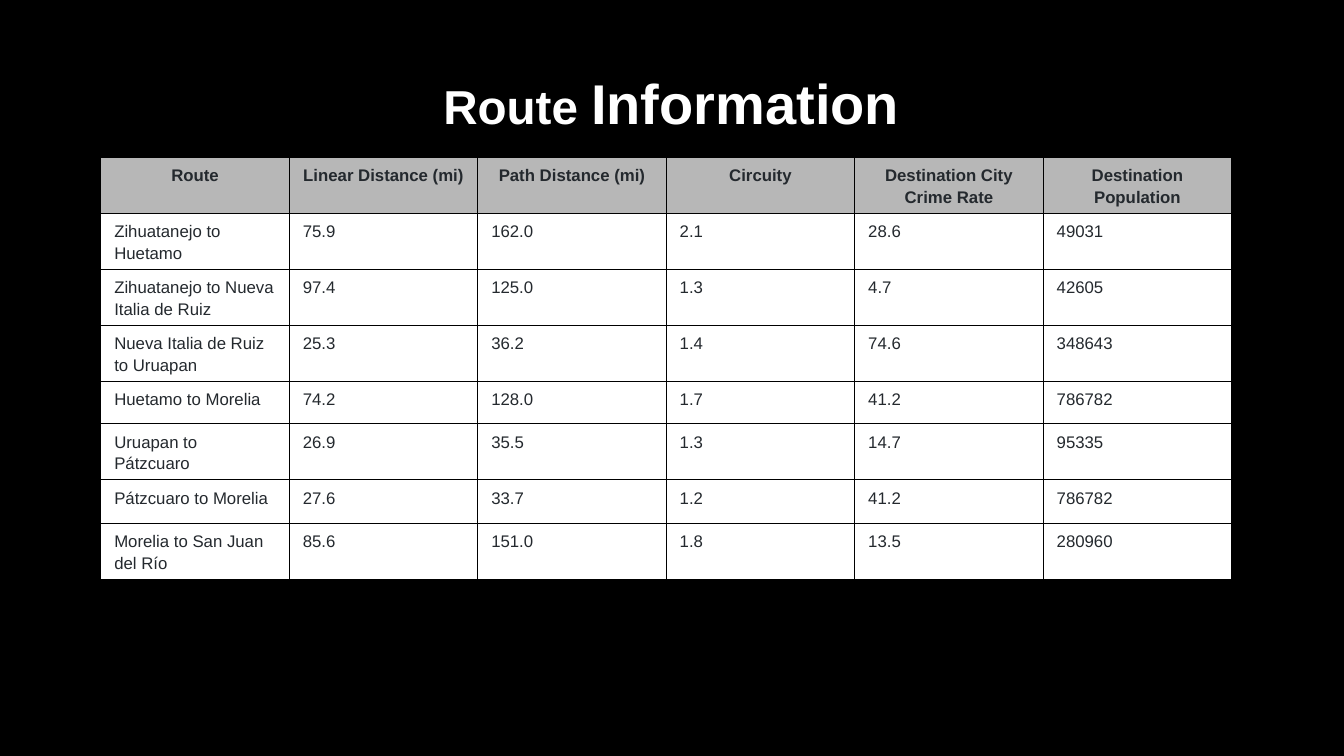
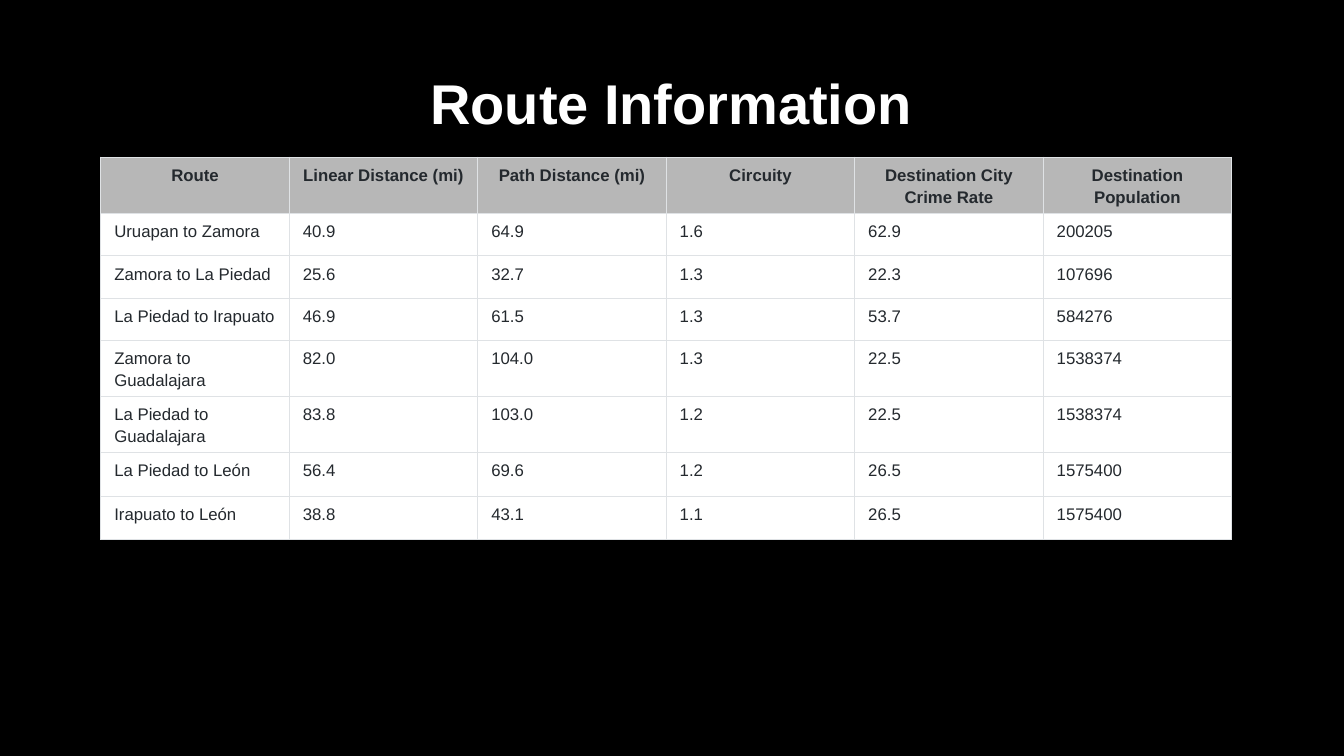
import pptx
import pptx.dml.color
import pptx.enum.text
import pptx.oxml
import pptx.oxml.ns
import pptx.util
from pptx.dml.color import RGBColor
from pptx.util import Cm, Pt

# Content
HEADINGS = ("Route", "Linear Distance (mi)", "Path Distance (mi)", "Circuity",
            "Destination City Crime Rate", "Destination Population")
SOUTHERN_ROUTES = [
    ("Zihuatanejo to Huetamo", "75.9", "162.0", "2.1", "28.6", "49031"),
    ("Zihuatanejo to Nueva Italia de Ruiz", "97.4", "125.0", "1.3", "4.7", "42605"),
    ("Nueva Italia de Ruiz to Uruapan", "25.3", "36.2", "1.4", "74.6", "348643"),
    ("Huetamo to Morelia", "74.2", "128.0", "1.7", "41.2", "786782"),
    ("Uruapan to Pátzcuaro", "26.9", "35.5", "1.3", "14.7", "95335"),
    ("Pátzcuaro to Morelia", "27.6", "33.7", "1.2", "41.2", "786782"),
    ("Morelia to San Juan del Río", "85.6", "151.0", "1.8", "13.5", "280960"),
]
NORTHERN_ROUTES = [
    ("Uruapan to Zamora", "40.9", "64.9", "1.6", "62.9", "200205"),
    ("Zamora to La Piedad", "25.6", "32.7", "1.3", "22.3", "107696"),
    ("La Piedad to Irapuato", "46.9", "61.5", "1.3", "53.7", "584276"),
    ("Zamora to Guadalajara", "82.0", "104.0", "1.3", "22.5", "1538374"),
    ("La Piedad to Guadalajara", "83.8", "103.0", "1.2", "22.5", "1538374"),
    ("La Piedad to León", "56.4", "69.6", "1.2", "26.5", "1575400"),
    ("Irapuato to León", "38.8", "43.1", "1.1", "26.5", "1575400"),
]

# Shared style
FONT = "Arial"
BLACK = RGBColor(0x00, 0x00, 0x00)
WHITE = RGBColor(0xFF, 0xFF, 0xFF)
INK = RGBColor(0x24, 0x29, 0x2E)
HEADER_GREY = RGBColor(0xB7, 0xB7, 0xB7)
PALE_GREY = RGBColor(0xDF, 0xE2, 0xE5)
CENTER = pptx.enum.text.PP_ALIGN.CENTER
LEFT = pptx.enum.text.PP_ALIGN.LEFT
MIDDLE = pptx.enum.text.MSO_ANCHOR.MIDDLE

TABLE_LEFT, TABLE_TOP = Cm(2.54), Cm(3.96)
COLUMN_WIDTH = Cm(4.75)
ROW_HEIGHT, LAST_ROW_HEIGHT = Cm(1.07), Cm(1.1)

# Title runs and sizes, table rows, border colour
SLIDES = [
    ([("Route ", 34), ("Information", 40)], SOUTHERN_ROUTES, BLACK),
    ([("Route Information", 40)], NORTHERN_ROUTES, PALE_GREY),
]


def style_paragraph(paragraph, color, bold, alignment, spacing):
    paragraph.alignment = alignment
    paragraph.line_spacing = spacing
    paragraph.font.name = FONT
    paragraph.font.bold = bold
    paragraph.font.color.rgb = color


def write_title(title, runs):
    title.text_frame.vertical_anchor = MIDDLE
    paragraph = title.text_frame.paragraphs[0]
    style_paragraph(paragraph, WHITE, True, CENTER, 0.9)
    for text, size in runs:
        run = paragraph.add_run()
        run.text = text
        run.font.size = Pt(size)


def add_borders(cell, color):
    properties = cell._tc.get_or_add_tcPr()
    for side in "LRTB":
        properties.append(pptx.oxml.parse_xml(
            f'<a:ln{side} {pptx.oxml.ns.nsdecls("a")} w="{Pt(0.75)}">'
            f'<a:solidFill><a:srgbClr val="{color}"/></a:solidFill></a:ln{side}>'))


def fill_cell(cell, text, is_heading, border):
    cell.text = text
    cell.margin_left = cell.margin_right = Cm(0.34)
    cell.margin_top = cell.margin_bottom = Cm(0.16)
    paragraph = cell.text_frame.paragraphs[0]
    style_paragraph(paragraph, INK, is_heading, CENTER if is_heading else LEFT, 1.15)
    paragraph.font.size = Pt(12)
    paragraph.space_after = Pt(12)
    add_borders(cell, border)
    cell.fill.solid()
    cell.fill.fore_color.rgb = HEADER_GREY if is_heading else WHITE


def add_route_table(slide, routes, border):
    rows = [HEADINGS, *routes]
    table = slide.shapes.add_table(
        len(rows), len(HEADINGS), TABLE_LEFT, TABLE_TOP,
        COLUMN_WIDTH * len(HEADINGS), ROW_HEIGHT * len(rows)).table
    table.horz_banding = False
    for column in table.columns:
        column.width = COLUMN_WIDTH
    for r, values in enumerate(rows):
        table.rows[r].height = LAST_ROW_HEIGHT if r >= len(rows) - 2 else ROW_HEIGHT
        for c, text in enumerate(values):
            fill_cell(table.cell(r, c), text, r == 0, border)


def main():
    deck = pptx.Presentation()
    deck.slide_width, deck.slide_height = Cm(33.87), Cm(19.05)

    # Black background and title position for every slide
    background = deck.slide_master.background.fill
    background.solid()
    background.fore_color.rgb = BLACK
    layout = deck.slide_layouts.get_by_name("Title Only")
    layout_title = layout.placeholders[0]
    layout_title.left, layout_title.top = Cm(2.54), Cm(0.84)
    layout_title.width, layout_title.height = Cm(28.75), Cm(3.68)

    for title_runs, routes, border in SLIDES:
        slide = deck.slides.add_slide(layout)
        write_title(slide.shapes.title, title_runs)
        add_route_table(slide, routes, border)
    deck.save("out.pptx")


if __name__ == "__main__":
    main()
